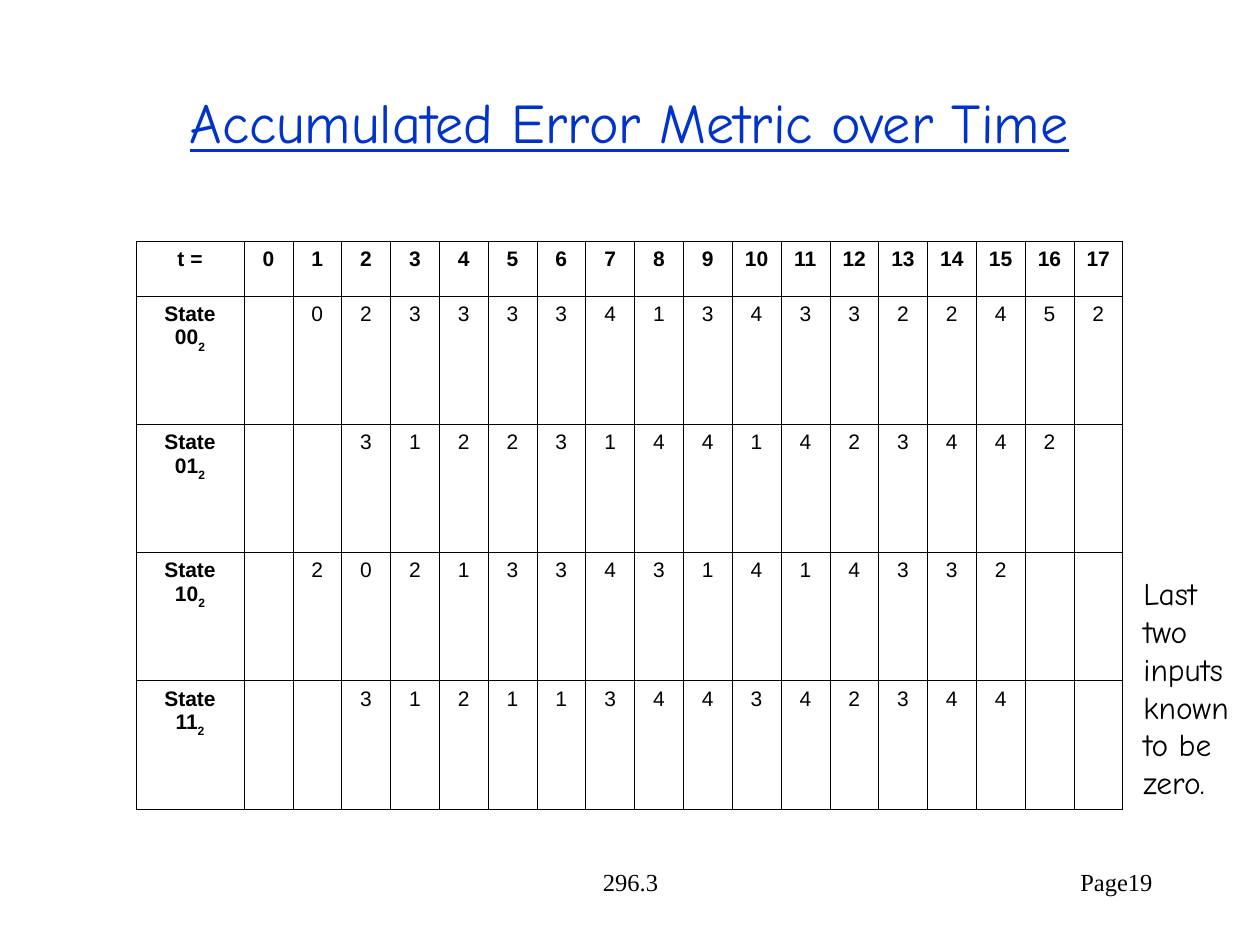
import dataclasses

import lxml.etree
import pptx
import pptx.dml.color
import pptx.enum.text
import pptx.oxml.ns
import pptx.util

ALIGN = pptx.enum.text.PP_ALIGN
ANCHOR = pptx.enum.text.MSO_ANCHOR

TITLE = "Accumulated Error Metric over Time"
NOTE = "Last two inputs known to be zero."
COURSE = "296.3"
PAGE = "Page19"
TIMES = range(18)
# State bits, time of the first known metric, metrics from then on
STATES = [
    ("00", 1, [0, 2, 3, 3, 3, 3, 4, 1, 3, 4, 3, 3, 2, 2, 4, 5, 2]),
    ("01", 2, [3, 1, 2, 2, 3, 1, 4, 4, 1, 4, 2, 3, 4, 4, 2]),
    ("10", 1, [2, 0, 2, 1, 3, 3, 4, 3, 1, 4, 1, 4, 3, 3, 2]),
    ("11", 2, [3, 1, 2, 1, 1, 3, 4, 4, 3, 4, 2, 3, 4, 4]),
]

SCALE = 914400 / 126
SLIDE = (1260, 945)
TITLE_BOX = (94, 63, 1071, 116)
NOTE_BOX = (1131, 568, 117, 240)
COURSE_BOX = (431, 861, 399, 63)
PAGE_BOX = (903, 861, 262, 63)
GRID = (136, 241, 987, 568)
LABEL_WIDTH, HEADER_HEIGHT = 108, 55


@dataclasses.dataclass(frozen=True)
class Theme:
    ink: str = "000000"
    accent: str = "0033CC"
    hand: str = "Comic Neue"
    sans: str = "Arial"
    serif: str = "Times New Roman"
    title_size: int = 32
    note_size: int = 18
    footer_size: int = 14
    cell_size: int = 12
    rule: float = 0.34


THEME = Theme()


def px(length):
    return pptx.util.Emu(round(length * SCALE))


def style(paragraph, face, size, color=THEME.ink, align=ALIGN.LEFT):
    paragraph.alignment = align
    font = paragraph.font
    font.name, font.size = face, pptx.util.Pt(size)
    font.color.rgb = pptx.dml.color.RGBColor.from_string(color)
    return font


def add_text(slide, box, text, face, size, color=THEME.ink,
             align=ALIGN.LEFT, anchor=ANCHOR.TOP):
    frame = slide.shapes.add_textbox(*map(px, box)).text_frame
    frame.word_wrap = True
    frame.vertical_anchor = anchor
    paragraph = frame.paragraphs[0]
    paragraph.text = text
    return style(paragraph, face, size, color, align)


def rule_cell(cell):
    """Draw a thin line on each side of the cell and leave it unfilled."""
    properties = cell._tc.get_or_add_tcPr()
    qn = pptx.oxml.ns.qn
    for side in ("a:lnL", "a:lnR", "a:lnT", "a:lnB"):
        line = lxml.etree.SubElement(properties, qn(side),
                                     w=str(pptx.util.Pt(THEME.rule)))
        fill = lxml.etree.SubElement(line, qn("a:solidFill"))
        lxml.etree.SubElement(fill, qn("a:srgbClr"), val=THEME.ink)
    cell.fill.background()


def fill_cell(cell, text, bold=False, subscript=""):
    rule_cell(cell)
    cell.margin_left = cell.margin_right = pptx.util.Inches(0.1)
    cell.margin_top = cell.margin_bottom = pptx.util.Inches(0.05)
    paragraph = cell.text_frame.paragraphs[0]
    style(paragraph, THEME.sans, THEME.cell_size, align=ALIGN.CENTER).bold = bold
    if text:
        paragraph.add_run().text = text
    if subscript:
        base = paragraph.add_run()
        base.text = subscript
        base._r.get_or_add_rPr().set("baseline", "-30000")


def add_metrics(slide):
    left, top, width, height = GRID
    table = slide.shapes.add_table(len(STATES) + 1, len(TIMES) + 1,
                                   *map(px, GRID)).table
    table.first_row = table.horz_banding = False
    for index, column in enumerate(table.columns):
        column.width = px((width - LABEL_WIDTH) / len(TIMES) if index
                          else LABEL_WIDTH)
    for index, row in enumerate(table.rows):
        row.height = px((height - HEADER_HEIGHT) / len(STATES) if index
                        else HEADER_HEIGHT)

    fill_cell(table.cell(0, 0), "t =", bold=True)
    for time in TIMES:
        fill_cell(table.cell(0, time + 1), str(time), bold=True)
    for row, (bits, start, metrics) in enumerate(STATES, 1):
        fill_cell(table.cell(row, 0), f"State {bits}", bold=True, subscript="2")
        known = dict(enumerate(metrics, start))
        for time in TIMES:
            fill_cell(table.cell(row, time + 1), str(known.get(time, "")))


def main():
    deck = pptx.Presentation()
    deck.slide_width, deck.slide_height = map(px, SLIDE)
    slide = deck.slides.add_slide(deck.slide_layouts[6])
    add_text(slide, COURSE_BOX, COURSE, THEME.serif, THEME.footer_size,
             align=ALIGN.CENTER)
    add_text(slide, PAGE_BOX, PAGE, THEME.serif, THEME.footer_size,
             align=ALIGN.RIGHT)
    title_font = add_text(slide, TITLE_BOX, TITLE, THEME.hand, THEME.title_size,
                          THEME.accent, ALIGN.CENTER, ANCHOR.MIDDLE)
    title_font.underline = True
    add_metrics(slide)
    add_text(slide, NOTE_BOX, NOTE, THEME.hand, THEME.note_size)
    deck.save("out.pptx")


if __name__ == "__main__":
    main()
